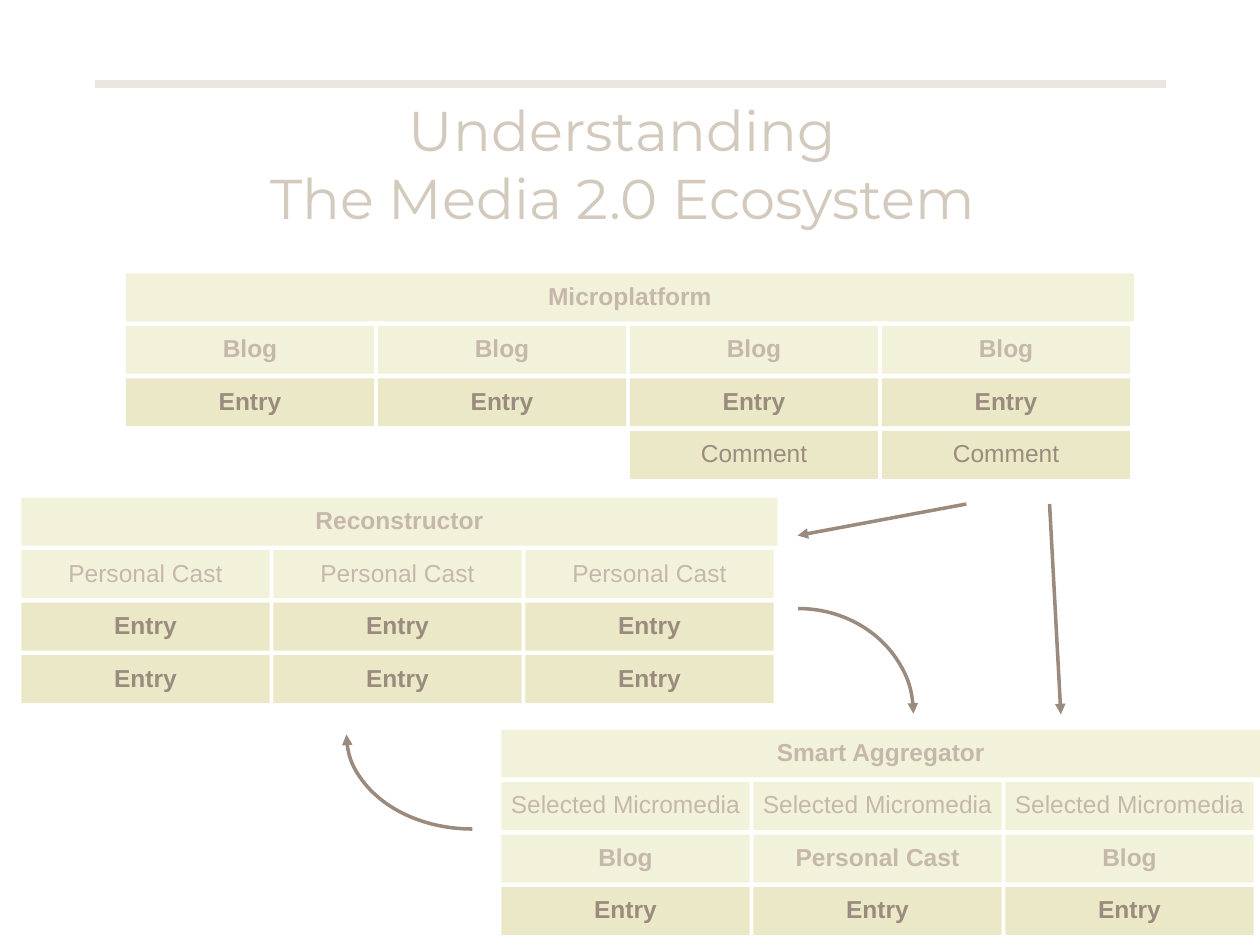
from pptx import Presentation
from pptx.dml.color import RGBColor
from pptx.enum.shapes import MSO_CONNECTOR, MSO_SHAPE
from pptx.enum.text import MSO_ANCHOR, MSO_AUTO_SIZE, PP_ALIGN
from pptx.oxml.ns import qn
from pptx.util import Inches, Pt
from lxml.etree import SubElement

RULE = RGBColor(0xE9, 0xE5, 0xDF)
TITLE = RGBColor(0xD3, 0xC9, 0xBD)
PALE_FILL = RGBColor(0xF2, 0xF1, 0xDA)
DEEP_FILL = RGBColor(0xEA, 0xE8, 0xC6)
PALE_TEXT = RGBColor(0xC5, 0xB8, 0xAB)
DEEP_TEXT = RGBColor(0x9A, 0x8B, 0x7E)

# Grid: cells are slightly smaller than their columns and rows
COLUMN, ROW = 2, 5 / 12
CELL_WIDTH, CELL_HEIGHT = 1.97, 0.38
DEEP_LABELS = ("Entry", "Comment")
REGULAR_LABELS = ("Comment", "Selected Micromedia")

deck = Presentation()
deck.slide_width, deck.slide_height = Inches(10), Inches(7.5)
page = deck.slides.add_slide(deck.slide_layouts[5])


def add_cell(label, left, top, width, bold):
    deep = label in DEEP_LABELS
    box = page.shapes.add_shape(MSO_SHAPE.RECTANGLE, Inches(left), Inches(top),
                                Inches(width), Inches(CELL_HEIGHT))
    box.shadow.inherit = False
    box.fill.solid()
    box.fill.fore_color.rgb = DEEP_FILL if deep else PALE_FILL
    box.line.fill.background()
    frame = box.text_frame
    frame.text = label
    frame.word_wrap = False
    frame.vertical_anchor = MSO_ANCHOR.MIDDLE
    para = frame.paragraphs[0]
    para.alignment = PP_ALIGN.CENTER
    para.line_spacing = 0.9
    font = para.runs[0].font
    font.name, font.size, font.bold = "Arial", Pt(14), bold
    font.color.rgb = DEEP_TEXT if deep else PALE_TEXT


def style_arrow(arrow):
    arrow.line.color.rgb = DEEP_TEXT
    arrow.line.width = Pt(2)
    SubElement(arrow.line._get_or_add_ln(), qn("a:tailEnd"), type="triangle")
    SubElement(arrow._element.spPr, qn("a:effectLst"))


# Title with the rule above it
rule = page.shapes.add_connector(MSO_CONNECTOR.STRAIGHT, Inches(0.75), Inches(0.67),
                                 Inches(9.25), Inches(0.67))
rule.line.color.rgb = RULE
rule.line.width = Pt(4.5)
SubElement(rule._element.spPr, qn("a:effectLst"))

title = page.shapes.title
title.left, title.top = Inches(0.75), Inches(0.67)
title.width, title.height = Inches(8.5), Inches(1.25)
title.text_frame.text = "Understanding \vThe Media 2.0 Ecosystem "
title.text_frame.auto_size = MSO_AUTO_SIZE.NONE
title.text_frame.vertical_anchor = MSO_ANCHOR.MIDDLE
title_para = title.text_frame.paragraphs[0]
title_para.alignment = PP_ALIGN.CENTER
for span in title_para.runs:
    span.font.name, span.font.size = "Montserrat", Pt(32)
    span.font.color.rgb = TITLE

# Three blocks: heading, left, top, heading width, rows of labels
blocks = [
    ("Microplatform", 1, 2.17, 8,
     [["Blog"] * 4, ["Entry"] * 4, [None, None, "Comment", "Comment"]]),
    ("Reconstructor", 0.17, 3.95, 6,
     [["Personal Cast"] * 3, ["Entry"] * 3, ["Entry"] * 3]),
    ("Smart Aggregator", 3.98, 5.79, 6.02,
     [["Selected Micromedia"] * 3, ["Blog", "Personal Cast", "Blog"], ["Entry"] * 3]),
]
for heading, left, top, width, rows in blocks:
    add_cell(heading, left, top, width, True)
    for row, labels in enumerate(rows, start=1):
        for column, label in enumerate(labels):
            if label:
                # A row of casts directly under the heading is not bold
                regular = label in REGULAR_LABELS or (label == "Personal Cast" and row == 1)
                add_cell(label, left + column * COLUMN, top + row * ROW,
                         CELL_WIDTH, not regular)

# Curved arrows between reconstructor and aggregator: box, then angles in degrees
for left, top, width, height, start, end in [(5.42, 4.83, 1.83, 1.67, 270, 0),
                                             (2.75, 5.08, 2, 1.5, 90, 180)]:
    arc = page.shapes.add_shape(MSO_SHAPE.ARC, Inches(left), Inches(top),
                                Inches(width), Inches(height))
    arc.adjustments[0] = start * 0.6
    arc.adjustments[1] = end * 0.6
    arc.fill.background()
    style_arrow(arc)

# Straight arrows from the microplatform
for x1, y1, x2, y2 in [(7.67, 4, 6.33, 4.25), (8.33, 4, 8.42, 5.67)]:
    style_arrow(page.shapes.add_connector(MSO_CONNECTOR.STRAIGHT, Inches(x1), Inches(y1),
                                          Inches(x2), Inches(y2)))

deck.save("out.pptx")
